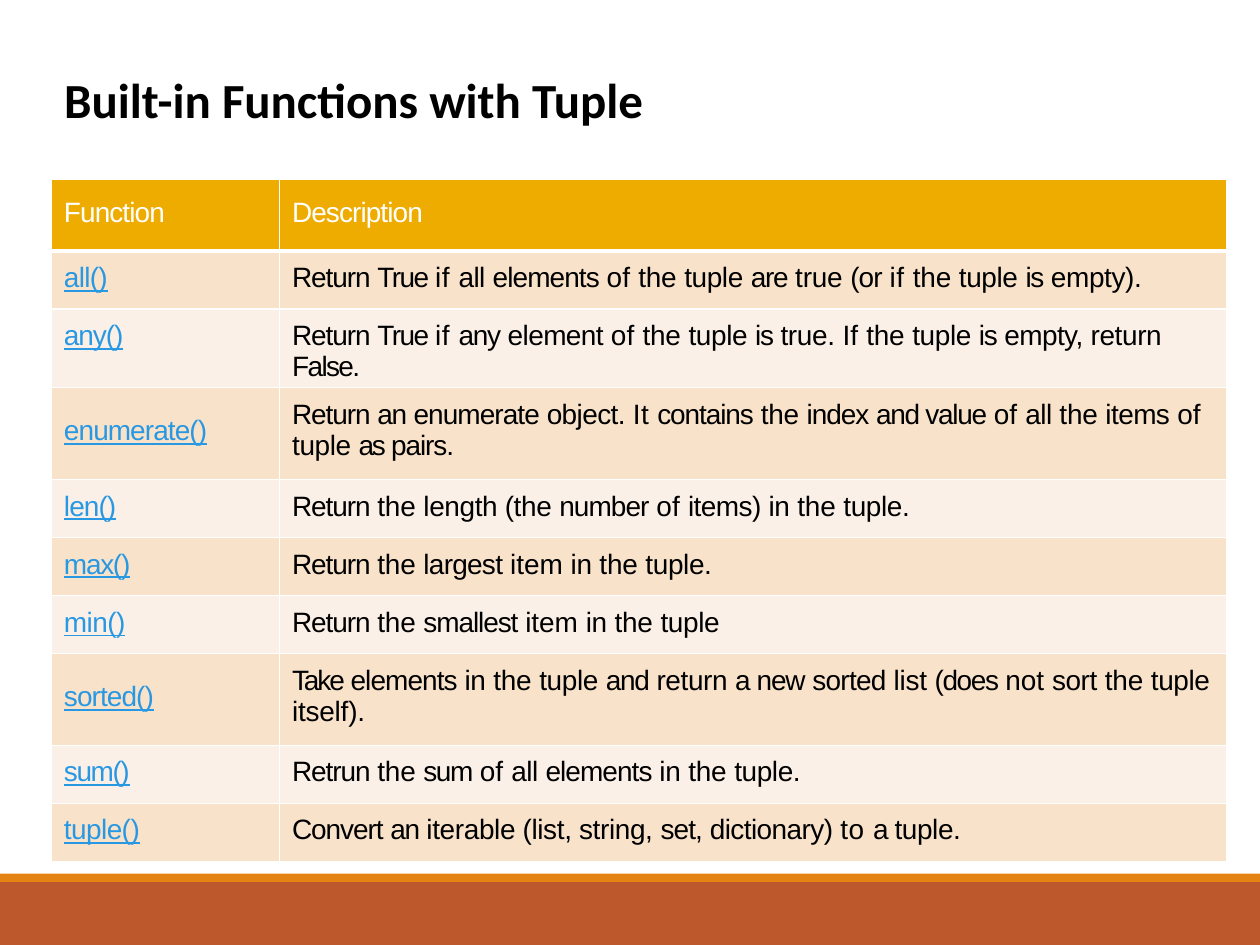
from itertools import groupby

from lxml import etree
from pptx import Presentation
from pptx.dml.color import RGBColor
from pptx.enum import shapes, text
from pptx.oxml.ns import qn
from pptx.util import Cm, Pt

# Content
TITLE = "Built-in Functions with Tuple"
HEADER = ("Function", "Description")
FUNCTIONS = [
    ("all()", "Return True if all elements of the tuple are true (or if the tuple is empty)."),
    ("any()", "Return True if any element of the tuple is true. If the tuple is empty, return False."),
    ("enumerate()", "Return an enumerate object. It contains the index and value of all the items of\n"
                    "tuple as pairs."),
    ("len()", "Return the length (the number of items) in the tuple."),
    ("max()", "Return the largest item in the tuple."),
    ("min()", "Return the smallest item in the tuple"),
    ("sorted()", "Take elements in the tuple and return a new sorted list (does not sort the tuple  itself)."),
    ("sum()", "Retrun the sum of all elements in the tuple."),
    ("tuple()", "Convert an iterable (list, string, set, dictionary) to a tuple."),
]
TALL = {"enumerate()", "sorted()"}

# Letter spacing in points, and the words that use it; other words take the default
DEFAULT_SPACING = -0.2
SPACING_WORDS = {
    0.3: "if to",
    0.2: "It",
    0.1: "of If",
    0: "item not",
    -0.1: "the true list itself).",
    -0.3: "all element empty, object. items items) dictionary) min() tuple()",
    -0.4: "largest sorted all()",
    -0.5: "Function Description elements (or enumerate number set, enumerate() len() sorted()",
    -0.6: "Return Retrun Convert contains index pairs. smallest new any()",
    -0.7: "are is any and value max()",
    -0.8: "an sum (does sum()",
    -0.9: "True False.",
    -1.1: "a",
    -1.2: "Take",
    -1.4: "as",
}
SPACING = {word: points for points, words in SPACING_WORDS.items() for word in words.split()}

COLORS = {
    "footer": "BD582C", "stripe": "E48312", "header": "EFAC00",
    "odd": "F8E2CA", "even": "FBF0E7",
    "white": "FFFFFF", "black": "000000", "link": "2998E3",
}

# Layout in centimetres
PAGE_W, PAGE_H = 25.4, 19.05
FOOTER_H, STRIPE_H = 1.27, 0.17
LEFT, TABLE_TOP = 1.04, 3.61
COLUMNS = (4.6, 19.1)
HEADER_H, ROW_H, TALL_H = 1.45, 1.17, 1.85
INDENT = 0.25
HEADER_INSET, ROW_INSET, TALL_INSET = 0.36, 0.23, 0.56


def color(name):
    return RGBColor.from_string(COLORS[name])


def add_band(page, top, height, fill):
    band = page.shapes.add_shape(shapes.MSO_SHAPE.RECTANGLE, 0, Cm(top), Cm(PAGE_W), Cm(height))
    band.shadow.inherit = False
    band.fill.solid()
    band.fill.fore_color.rgb = color(fill)
    band.line.fill.background()


def add_border(cell, side, points):
    line = etree.SubElement(cell._tc.get_or_add_tcPr(), qn("a:" + side), w=str(Pt(points)))
    fill = etree.SubElement(line, qn("a:solidFill"))
    etree.SubElement(fill, qn("a:srgbClr"), val=COLORS["white"])


def add_spans(para, line, ink, underline):
    """Write one run for each stretch of words with the same letter spacing."""
    words = line.split(" ")
    pieces = [word + " " for word in words[:-1]] + words[-1:]
    for points, group in groupby(pieces, lambda piece: SPACING.get(piece.strip(), DEFAULT_SPACING)):
        span = para.add_run()
        span.text = "".join(group)
        span.font.name = "Arial"
        span.font.size = Pt(16)
        span.font.bold = False
        span.font.underline = underline
        span.font.color.rgb = color(ink)
        span._r.get_or_add_rPr().set("spc", str(round(points * 100)))


def fill_cell(cell, content, fill, ink, inset, top_line, bottom_line, underline=False):
    cell.margin_left, cell.margin_top = Cm(INDENT), Cm(inset)
    cell.margin_right = cell.margin_bottom = 0
    # Borders go in before the fill, as the schema orders them
    for side, points in (("lnL", 1), ("lnR", 1), ("lnT", top_line), ("lnB", bottom_line)):
        add_border(cell, side, points)
    cell.fill.solid()
    cell.fill.fore_color.rgb = color(fill)
    for index, line in enumerate(content.split("\n")):
        frame = cell.text_frame
        para = frame.add_paragraph() if index else frame.paragraphs[0]
        add_spans(para, line, ink, underline)


def add_function_table(page):
    heights = [HEADER_H] + [TALL_H if name in TALL else ROW_H for name, _ in FUNCTIONS]
    table = page.shapes.add_table(
        len(heights), len(COLUMNS), Cm(LEFT), Cm(TABLE_TOP), Cm(sum(COLUMNS)), Cm(sum(heights))
    ).table
    for column, width in zip(table.columns, COLUMNS):
        column.width = Cm(width)
    for row, height in zip(table.rows, heights):
        row.height = Cm(height)

    for index, label in enumerate(HEADER):
        fill_cell(table.cell(0, index), label, "header", "white", HEADER_INSET, 1, 3)
    for index, (name, description) in enumerate(FUNCTIONS, 1):
        fill = "odd" if index % 2 else "even"
        top_line = 3 if index == 1 else 1
        inset = TALL_INSET if name in TALL else ROW_INSET
        fill_cell(table.cell(index, 0), name, fill, "link", inset, top_line, 1, underline=True)
        fill_cell(table.cell(index, 1), description, fill, "black", ROW_INSET, top_line, 1)


def set_title(page):
    box = page.shapes.title
    box.left, box.top, box.width, box.height = Cm(LEFT), Cm(1.27), Cm(12.7), Cm(1.45)
    frame = box.text_frame
    frame.word_wrap = True
    frame.auto_size = text.MSO_AUTO_SIZE.SHAPE_TO_FIT_TEXT
    frame.vertical_anchor = text.MSO_ANCHOR.TOP
    para = frame.paragraphs[0]
    para.alignment = text.PP_ALIGN.LEFT
    span = para.add_run()
    span.text = TITLE
    span.font.name = "Calibri"
    span.font.size = Pt(28)
    span.font.bold = True
    span.font.color.rgb = color("black")


def main():
    deck = Presentation()
    deck.slide_width, deck.slide_height = Cm(PAGE_W), Cm(PAGE_H)
    page = deck.slides.add_slide(deck.slide_layouts.get_by_name("Title Only"))
    # Footer bands
    footer_top = PAGE_H - FOOTER_H
    add_band(page, footer_top, FOOTER_H, "footer")
    add_band(page, footer_top - STRIPE_H, STRIPE_H, "stripe")
    # Table and title
    add_function_table(page)
    set_title(page)
    deck.save("out.pptx")


if __name__ == "__main__":
    main()
